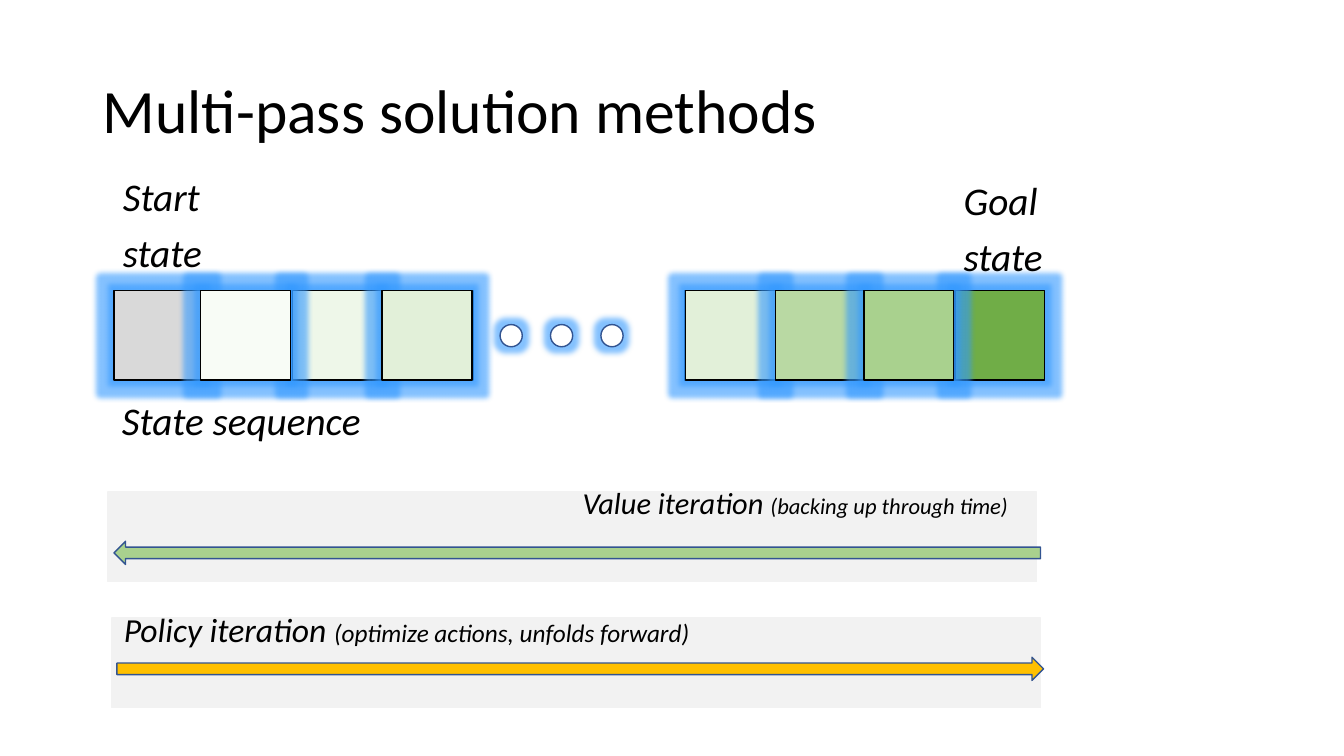
import pptx
import pptx.util
import pptx.dml.color
import pptx.enum.shapes
import pptx.enum.text
import pptx.oxml
import pptx.oxml.ns

PX = 9144  # one px is 1/100 inch
KIND = pptx.enum.shapes.MSO_SHAPE
GLOW = (f'<a:effectLst {pptx.oxml.ns.nsdecls("a")}><a:glow rad="101600">'
        '<a:srgbClr val="3399FF"><a:alpha val="60000"/></a:srgbClr>'
        '</a:glow></a:effectLst>')

deck = pptx.Presentation()
deck.slide_width, deck.slide_height = 1333 * PX, 750 * PX
slide = deck.slides.add_slide(deck.slide_layouts[1])


def draw(kind, box, fill, line="000000", glow=False):
    shape = slide.shapes.add_shape(kind, *[n * PX for n in box])
    shape.fill.solid()
    shape.fill.fore_color.rgb = pptx.dml.color.RGBColor.from_string(fill)
    shape.line.color.rgb = pptx.dml.color.RGBColor.from_string(line)
    shape.line.width = pptx.util.Pt(1)
    shape.shadow.inherit = False
    if glow:
        props = shape.fill._xPr
        props.replace(props.find(pptx.oxml.ns.qn("a:effectLst")),
                      pptx.oxml.parse_xml(GLOW))
    return shape


def write(shape, box, lines, space=0.9, before=10, italic=True):
    shape.left, shape.top, shape.width, shape.height = [n * PX for n in box]
    frame = shape.text_frame
    frame.word_wrap = True
    frame.auto_size = pptx.enum.text.MSO_AUTO_SIZE.NONE
    for i, runs in enumerate(lines):
        para = frame.add_paragraph() if i else frame.paragraphs[0]
        form = {"line_spacing": space, "space_before": pptx.util.Pt(before),
                "alignment": pptx.enum.text.PP_ALIGN.LEFT}
        for key, val in form.items():
            setattr(para, key, val)
        for text, size in runs:
            run = para.add_run()
            run.text = text
            form = {"name": "Calibri", "size": pptx.util.Pt(size), "italic": italic}
            for key, val in form.items():
                setattr(run.font, key, val)
            run.font.color.rgb = pptx.dml.color.RGBColor.from_string("000000")
    return frame


# Grey bands behind the arrows
for left, top in [(111, 613), (107, 488)]:
    draw(KIND.RECTANGLE, (left, top, 921, 89), "F2F2F2", "F2F2F2")

# Title and caption
title = write(slide.shapes.title, (92, 40, 1150, 145),
              [[("Multi-pass solution methods", 44)]], before=0, italic=False)
title.vertical_anchor = pptx.enum.text.MSO_ANCHOR.MIDDLE
body = write(slide.placeholders[1], (111, 393, 272, 59), [[("State sequence", 28)]])
props = body.paragraphs[0]._p.get_or_add_pPr()
props.set("marL", "0")
props.set("indent", "0")
props.insert_element_before(pptx.oxml.parse_xml(
    f'<a:buNone {pptx.oxml.ns.nsdecls("a")}/>'), "a:tabLst", "a:defRPr", "a:extLst")

# State cells: plain ones behind, tinted ones with a glow in front
cells = [(113, "D9D9D9"), (202, "FFFFFF"), (291, "FFFFFF"), (380, "FFFFFF"),
         (947, "70AD47"), (679, "FFFFFF"), (858, "FFFFFF"),
         (290, "EEF7E9"), (379, "E2F0D9"), (199, "F8FCF6"),
         (680, "E2F0D9"), (769, "B9D9A3"), (857, "A9D18E")]
for left, fill in cells:
    draw(KIND.RECTANGLE, (left, 288, 89, 89), fill, glow=fill != "FFFFFF")

# Dots for the states between
for i in range(3):
    draw(KIND.OVAL, (496 + 50 * i, 322, 22, 22), "FFFFFF", "325491", True)

# Arrows
for left, top, fill, turn in [(113, 537, "A9D18E", 0), (116, 652, "FFC000", 180)]:
    arrow = draw(KIND.LEFT_ARROW, (left, top, 919, 23), fill, "325491")
    arrow.rotation = turn

# Labels
labels = [
    ((112, 171, 140, 109), [[("Start", 28)], [("state", 28)]], 0.9),
    ((946, 175, 106, 108), [[("Goal", 28)], [("state", 28)]], 0.9),
    ((113, 604, 810, 59), [[("Policy iteration ", 24),
                            ("(optimize actions, unfolds forward)", 18)]], 0.9),
    ((568, 485, 480, 59), [[("Value iteration ", 21.7),
                            ("(backing up through time)", 16.1)]], 0.7),
]
for box, lines, space in labels:
    write(slide.shapes.add_textbox(0, 0, PX, PX), box, lines, space)

deck.save("out.pptx")
